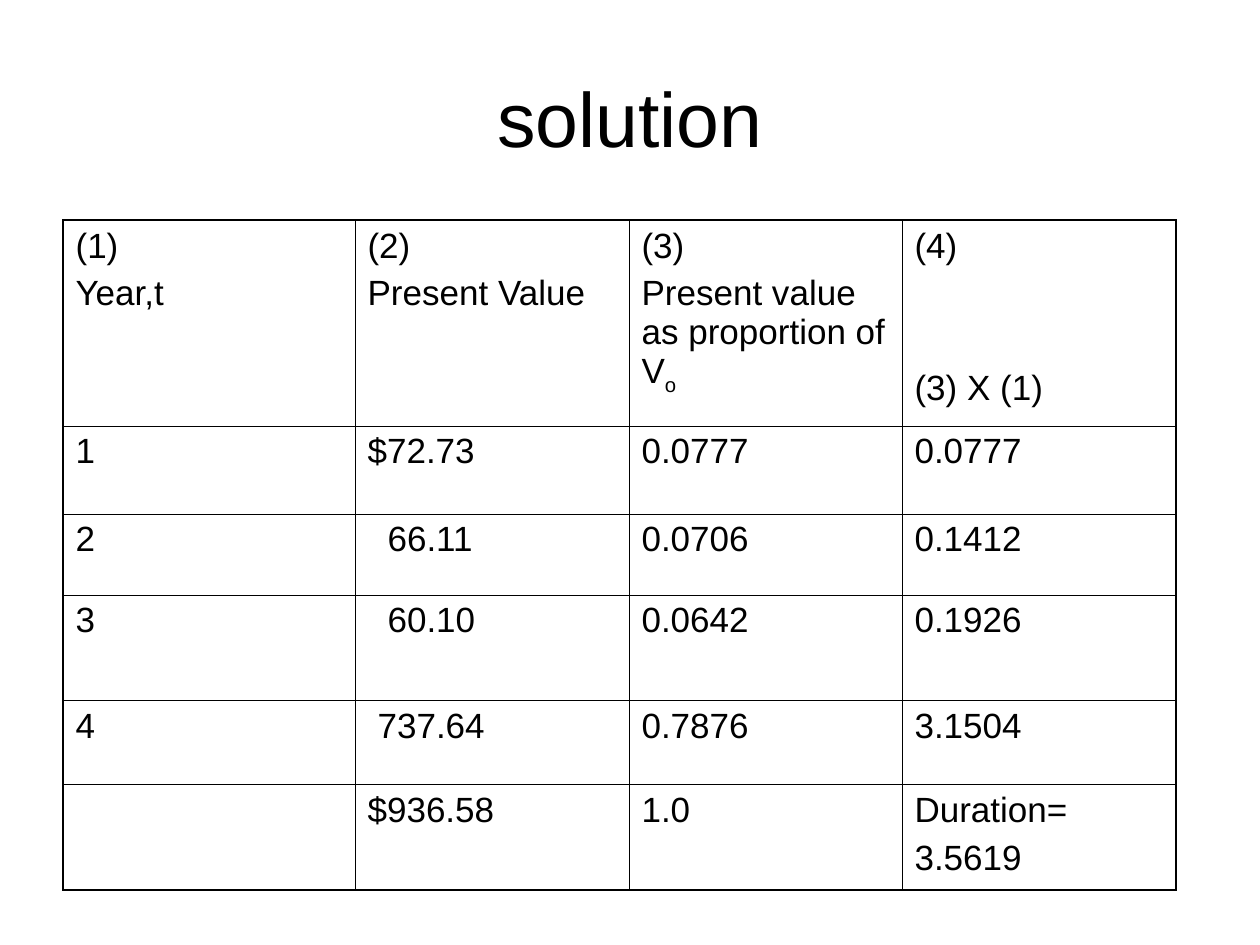
from lxml import etree
from pptx import Presentation
from pptx import util as u
from pptx.dml.color import RGBColor
from pptx.enum import text
from pptx.oxml import ns

BLACK = RGBColor(0, 0, 0)
SCALE = 914400 / 126


def px(n):
    return u.Emu(round(n * SCALE))


class Deck:
    font = "Arial"
    color = BLACK
    thin = 0.45
    thick = 1.08

    def __init__(self, wide, high):
        self.prs = Presentation()
        self.prs.slide_width = px(wide)
        self.prs.slide_height = px(high)
        self.slide = self.prs.slides.add_slide(self.prs.slide_layouts[6])

    def run(self, para, words, size, sub=False):
        run = para.add_run()
        run.text = words
        run.font.name = self.font
        run.font.size = u.Pt(size)
        run.font.color.rgb = self.color
        if sub:
            run.font._element.set("baseline", "-25000")

    def title(self, x, y, w, h, words, size):
        frame = self.slide.shapes.add_textbox(px(x), px(y), px(w), px(h)).text_frame
        frame.word_wrap = True
        frame.vertical_anchor = text.MSO_ANCHOR.MIDDLE
        para = frame.paragraphs[0]
        para.alignment = text.PP_ALIGN.CENTER
        self.run(para, words, size)

    def border(self, cell, widths):
        props = cell._tc.get_or_add_tcPr()
        for side, width in widths.items():
            line = etree.SubElement(props, ns.qn("a:ln" + side), w=str(u.Pt(width)))
            fill = etree.SubElement(line, ns.qn("a:solidFill"))
            etree.SubElement(fill, ns.qn("a:srgbClr"), val=str(self.color))

    def label(self, cell, paras, size, gap, indent):
        frame = cell.text_frame
        for i, runs in enumerate(paras):
            para = frame.paragraphs[0] if i == 0 else frame.add_paragraph()
            para.space_before = u.Pt(gap if i else 5)
            if indent:
                para._p.get_or_add_pPr().set("marL", str(px(indent)))
            for j, words in enumerate(runs):
                self.run(para, words, size, sub=j > 0)

    def table(self, x, y, cols, rows, cells, size, gaps, indents):
        table = self.slide.shapes.add_table(
            len(rows), len(cols), px(x), px(y), px(sum(cols)), px(sum(rows))).table
        table.first_row = table.horz_banding = False
        for col, width in zip(table.columns, cols):
            col.width = px(width)
        for row, high in zip(table.rows, rows):
            row.height = px(high)
        for r, line in enumerate(cells):
            for c, paras in enumerate(line):
                cell = table.cell(r, c)
                edges = {"L": c == 0, "R": c == len(cols) - 1,
                         "T": r == 0, "B": r == len(rows) - 1}
                self.border(cell, {side: self.thick if outer else self.thin
                                   for side, outer in edges.items()})
                cell.fill.background()
                self.label(cell, paras, size, gaps.get((r, c), 5), indents.get((r, c), 0))

    def save(self):
        self.prs.save("out.pptx")


HEAD = [
    [["(1)"], ["Year,t"]],
    [["(2)"], ["Present Value"]],
    [["(3)"], ["Present value as proportion of V", "o"]],
    [["(4)"], ["(3) X (1)"]],
]
YEARS = [
    ("1", "$72.73", "0.0777", "0.0777"),
    ("2", "66.11", "0.0706", "0.1412"),
    ("3", "60.10", "0.0642", "0.1926"),
    ("4", "737.64", "0.7876", "3.1504"),
]
TOTAL = [[], [["$936.58"]], [["1.0"]], [["Duration="], ["3.5619"]]]
BODY = [[[[value]] for value in year] for year in YEARS]

deck = Deck(1260, 945)
deck.title(63, 38, 1134, 158, "solution", 44)
deck.table(63, 220, [292, 274, 273, 274], [206, 88, 81, 106, 84, 105],
           [HEAD, *BODY, TOTAL], 20,
           gaps={(0, 3): 59}, indents={(2, 1): 20, (3, 1): 20, (4, 1): 10})
deck.save()
